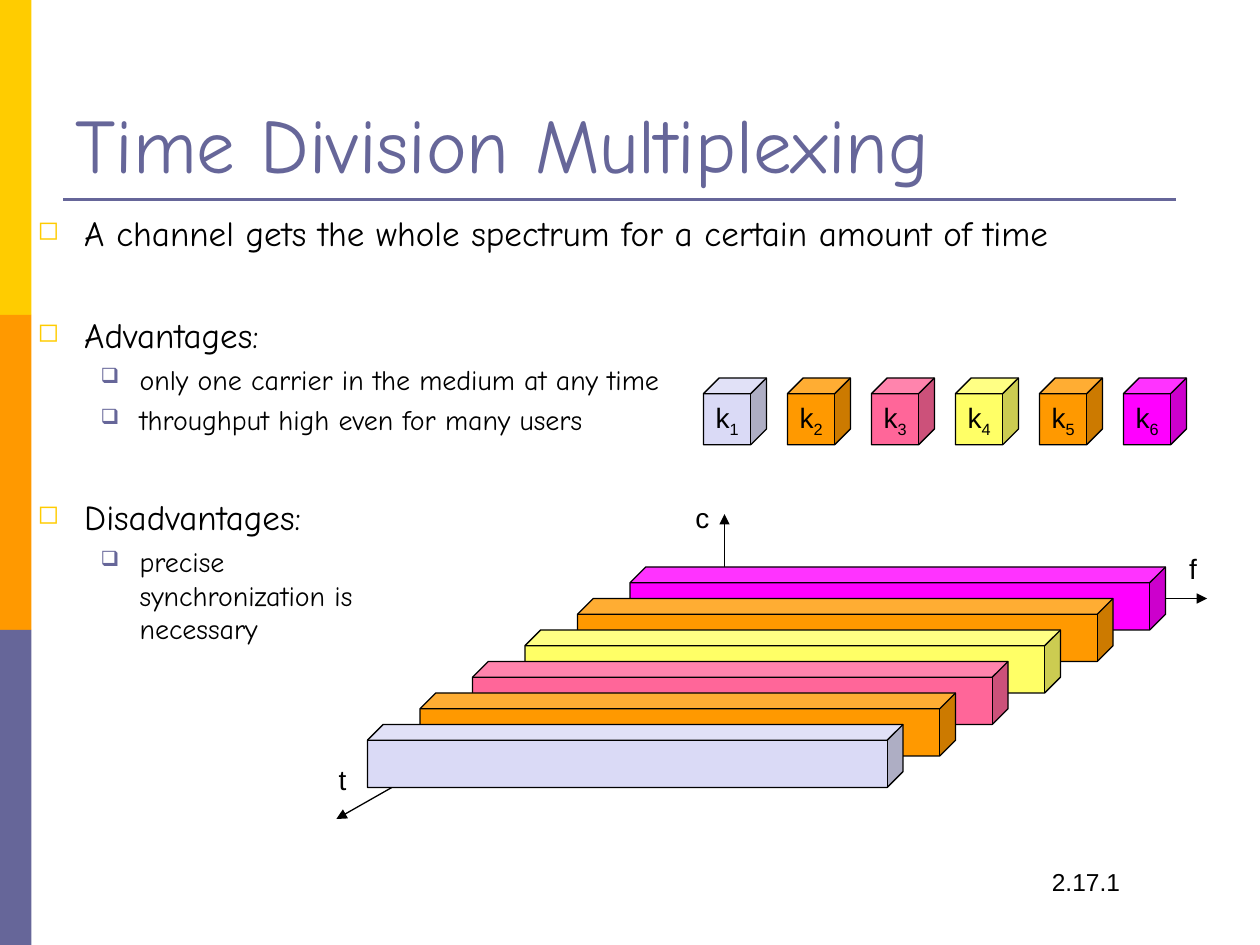
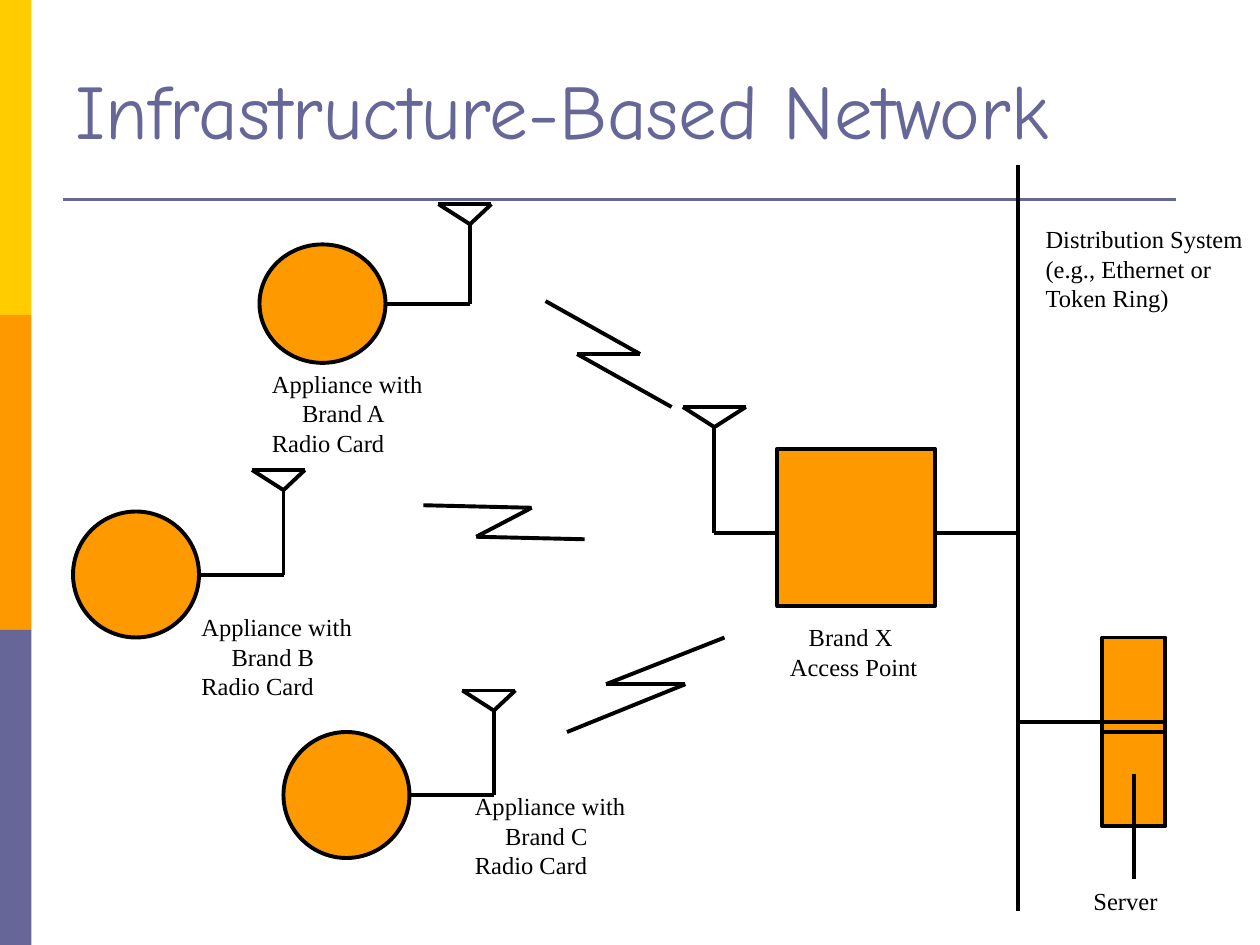
"""Builds two networking slides: time division multiplexing and an infrastructure-based network."""
from itertools import pairwise

from lxml.etree import SubElement
from pptx import Presentation
from pptx.dml.color import RGBColor
from pptx.enum.shapes import MSO_CONNECTOR, MSO_SHAPE
from pptx.enum.text import MSO_ANCHOR, PP_ALIGN
from pptx.oxml.ns import qn
from pptx.util import Inches, Pt

COLORS = {
    "black": "000000", "yellow": "FFCC00", "orange": "FF9900", "slate": "666699",
    "lavender": "DADAF6", "pink": "FF6699", "lemon": "FFFF66", "magenta": "FF00FF",
}
BANDS = ["yellow", "orange", "slate"]
CHANNELS = ["lavender", "orange", "pink", "lemon", "orange", "magenta"]
LINE_HEIGHT = 1.2

MAIN = {"size": 20, "bullet": "◻", "bullet_color": "yellow", "margin": 0.37, "hang": 0.37}
SECTION = {**MAIN, "before": 34}
SUB = {"size": 16, "bullet": "❑", "bullet_color": "slate", "margin": 0.81, "hang": 0.31, "before": 4}
POINTS = [
    ("A channel gets the whole spectrum for a certain amount of time", MAIN),
    ("Advantages:", SECTION),
    ("only one carrier in the medium at any time", SUB),
    ("throughput high even for many users", SUB),
    ("Disadvantages:", SECTION),
    ("precise\nsynchronization is\nnecessary", SUB),
]
AXIS_ORIGIN = (5.75, 4.75)
AXES = [
    ("f", (9.34, 4.33, 0.26, 0.37), (9.58, 4.75)),
    ("t", (2.59, 6, 0.26, 0.37), (2.67, 6.5)),
    ("c", (5.42, 3.92, 0.31, 0.37), (5.75, 4.08)),
]
PAGE_NUMBER = ("2.17.1", (8.25, 6.83, 0.74, 0.34))

APPLIANCES = [
    ("Brand A", (2.06, 1.94, 1, 0.94), (2.06, 2.88)),
    ("Brand B", (0.58, 4.06, 1, 1), (1.5, 4.81)),
    ("Brand C", (2.25, 5.81, 1, 1), (3.67, 6.23)),
]
ACCESS_POINT = (6.17, 3.56, 1.25, 1.25)
SERVER = (8.75, 5.06, 0.5, 1.5)
WIRES = [
    [(7.42, 4.23), (8.08, 4.23)],
    [(8.08, 1.31), (8.08, 7.23)],
    [(8.08, 5.73), (9.25, 5.73)],
    [(8.75, 5.81), (9.25, 5.81)],
    [(9, 6.14), (9, 6.98)],
]
RADIO_LINKS = [
    [(3.36, 4.01), (4.22, 4.03), (3.78, 4.26), (4.64, 4.28)],
    [(4.5, 5.81), (5.44, 5.43), (4.81, 5.43), (5.75, 5.06)],
    [(4.33, 2.39), (5.08, 2.81), (4.58, 2.81), (5.33, 3.23)],
]
NETWORK_LABELS = [
    ([("Brand X", {"margin": 0.15}), ("Access Point", {})], (6.17, 4.89, 1.25, 0.57)),
    ([("Distribution System", {}), ("(e.g., Ethernet or", {}), ("Token Ring)", {})],
     (8.2, 1.73, 1.8, 0.8)),
    ([("Server", {})], (8.58, 6.98, 0.75, 0.34)),
]


def rgb(name):
    return RGBColor.from_string(COLORS[name])


def inches(values):
    return [Inches(value) for value in values]


def format_paragraph(paragraph, text, size=14, font="Arial", color="black", align=PP_ALIGN.LEFT,
                     before=0, margin=0, hang=0, bullet=None, bullet_color=None, subscript=None):
    paragraph.alignment = align
    paragraph.line_spacing = 1.0 if subscript else Pt(size * LINE_HEIGHT)
    paragraph.space_before = Pt(before)
    properties = paragraph._p.get_or_add_pPr()
    properties.set("marL", str(Inches(margin)))
    properties.set("indent", str(-Inches(hang)))
    if bullet:
        bullet_fill = SubElement(properties, qn("a:buClr"))
        SubElement(bullet_fill, qn("a:srgbClr")).set("val", COLORS[bullet_color])
        SubElement(properties, qn("a:buSzPct")).set("val", "75000")
        SubElement(properties, qn("a:buFont")).set("typeface", "OpenSymbol")
        SubElement(properties, qn("a:buChar")).set("char", bullet)
    for number, line in enumerate(text.split("\n")):
        if number:
            paragraph.add_line_break()
        paragraph.add_run().text = line
    if subscript:
        run = paragraph.add_run()
        run.text = subscript
        run._r.get_or_add_rPr().set("baseline", "-25000")
    for run in paragraph.runs:
        run.font.size = Pt(size)
        run.font.name = font
        run.font.color.rgb = rgb(color)


def write_text(shape, paragraphs, wrap=False, anchor=MSO_ANCHOR.TOP, **shared):
    frame = shape.text_frame
    frame.word_wrap = wrap
    frame.vertical_anchor = anchor
    for number, (text, own) in enumerate(paragraphs):
        paragraph = frame.add_paragraph() if number else frame.paragraphs[0]
        format_paragraph(paragraph, text, **{**shared, **own})


def add_text(slide, paragraphs, box, **options):
    write_text(slide.shapes.add_textbox(*inches(box)), paragraphs, **options)


def add_filled(slide, kind, box, color, line_width=0):
    shape = slide.shapes.add_shape(kind, *inches(box))
    shape.shadow.inherit = False
    shape.fill.solid()
    shape.fill.fore_color.rgb = rgb(color)
    if line_width:
        shape.line.color.rgb = rgb("black")
        shape.line.width = Pt(line_width)
    else:
        shape.line.fill.background()
    return shape


def add_path(slide, points, color="black", width=2.25, arrow=False):
    for start, end in pairwise(points):
        connector = slide.shapes.add_connector(MSO_CONNECTOR.STRAIGHT, *inches(start + end))
        connector.line.color.rgb = rgb(color)
        connector.line.width = Pt(width)
        if arrow:
            SubElement(connector.line._get_or_add_ln(), qn("a:tailEnd")).set("type", "triangle")
        SubElement(connector._element.spPr, qn("a:effectLst"))


def add_base_slide(presentation, title, title_box, anchor):
    slide = presentation.slides.add_slide(presentation.slide_layouts[6])
    for row, color in enumerate(BANDS):
        add_filled(slide, MSO_SHAPE.RECTANGLE, (0, 2.5 * row, 0.25, 2.5), color)
    add_path(slide, [(0.5, 1.58), (9.33, 1.58)], color="slate", width=1.75)
    add_text(slide, [(title, {})], title_box, wrap=True, anchor=anchor,
             size=44, font="Comic Neue", color="slate")
    return slide


def add_multiplexing_slide(presentation):
    slide = add_base_slide(presentation, "Time Division Multiplexing",
                           (0.5, 0.3, 9, 1.25), MSO_ANCHOR.BOTTOM)
    for name, box, tip in AXES:
        add_path(slide, [AXIS_ORIGIN, tip], width=0.75, arrow=True)
        add_text(slide, [(name, {})], box, size=16)
    for step, color in enumerate(reversed(CHANNELS)):
        bar = (5 - step * 5 / 12, 4.5 + step * 0.25, 4.25, 0.5)
        add_filled(slide, MSO_SHAPE.CUBE, bar, color, 0.75)
    for number, color in enumerate(CHANNELS):
        box = (5 + 7 / 12 + number * 2 / 3, 3, 0.5, 0.53)
        cube = add_filled(slide, MSO_SHAPE.CUBE, box, color, 0.75)
        write_text(cube, [("k", {"subscript": str(number + 1)})], anchor=MSO_ANCHOR.MIDDLE,
                   size=16, align=PP_ALIGN.CENTER)
    add_text(slide, POINTS, (0.2, 1.63, 8.79, 5.58), wrap=True, font="Comic Neue")
    page_number, box = PAGE_NUMBER
    add_text(slide, [(page_number, {})], box)


def add_antenna(slide, device_x, post_x, base_y, tip_y, right):
    tip, dish_y = (post_x, tip_y), tip_y - 0.16
    add_path(slide, [(device_x, base_y), (post_x, base_y), tip,
                     (post_x - 0.25, dish_y), (post_x + right, dish_y), tip])


def add_network_slide(presentation):
    slide = add_base_slide(presentation, "Infrastructure-Based Network",
                           (0.5, 0.45, 9.38, 1.25), MSO_ANCHOR.TOP)
    labels = list(NETWORK_LABELS)
    for brand, (left, top, width, height), label_corner in APPLIANCES:
        add_filled(slide, MSO_SHAPE.OVAL, (left, top, width, height), "orange", 2.25)
        middle = top + height / 2
        add_antenna(slide, left + width, left + 1.67, middle, middle - 0.67 * height, 0.17)
        lines = [("Appliance with", {}), (brand, {"margin": 0.24}), ("Radio Card", {})]
        labels.append((lines, label_corner + (1.5, 0.8)))
    for box in (ACCESS_POINT, SERVER):
        add_filled(slide, MSO_SHAPE.RECTANGLE, box, "orange", 2.25)
    add_antenna(slide, ACCESS_POINT[0], 5.67, 4.23, 3.39, 0.25)
    for points in WIRES + RADIO_LINKS:
        add_path(slide, points)
    for lines, box in labels:
        add_text(slide, lines, box, wrap=True, font="Times New Roman")


def main():
    presentation = Presentation()
    presentation.slide_width, presentation.slide_height = inches((10, 7.5))
    add_multiplexing_slide(presentation)
    add_network_slide(presentation)
    presentation.save("out.pptx")


if __name__ == "__main__":
    main()
